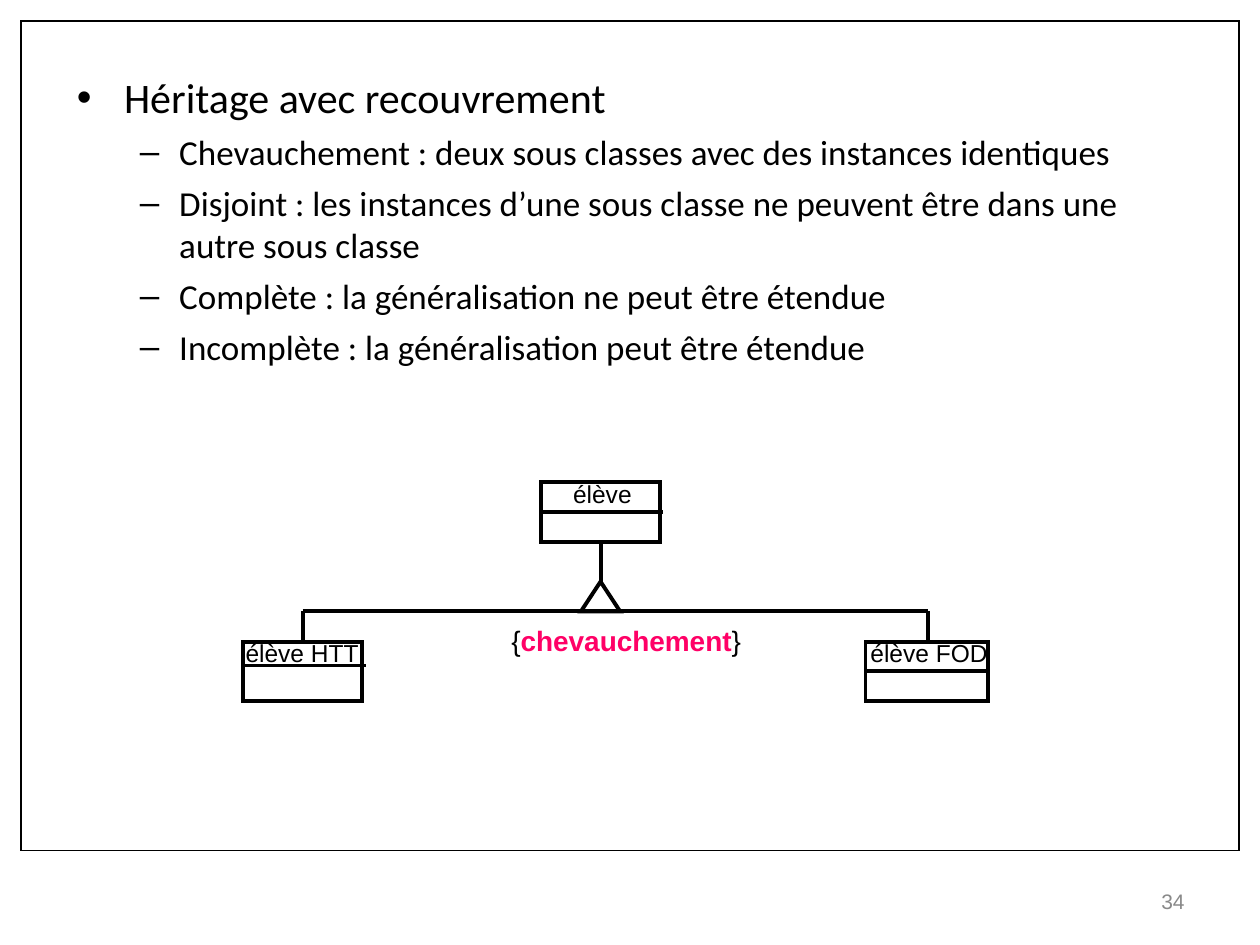
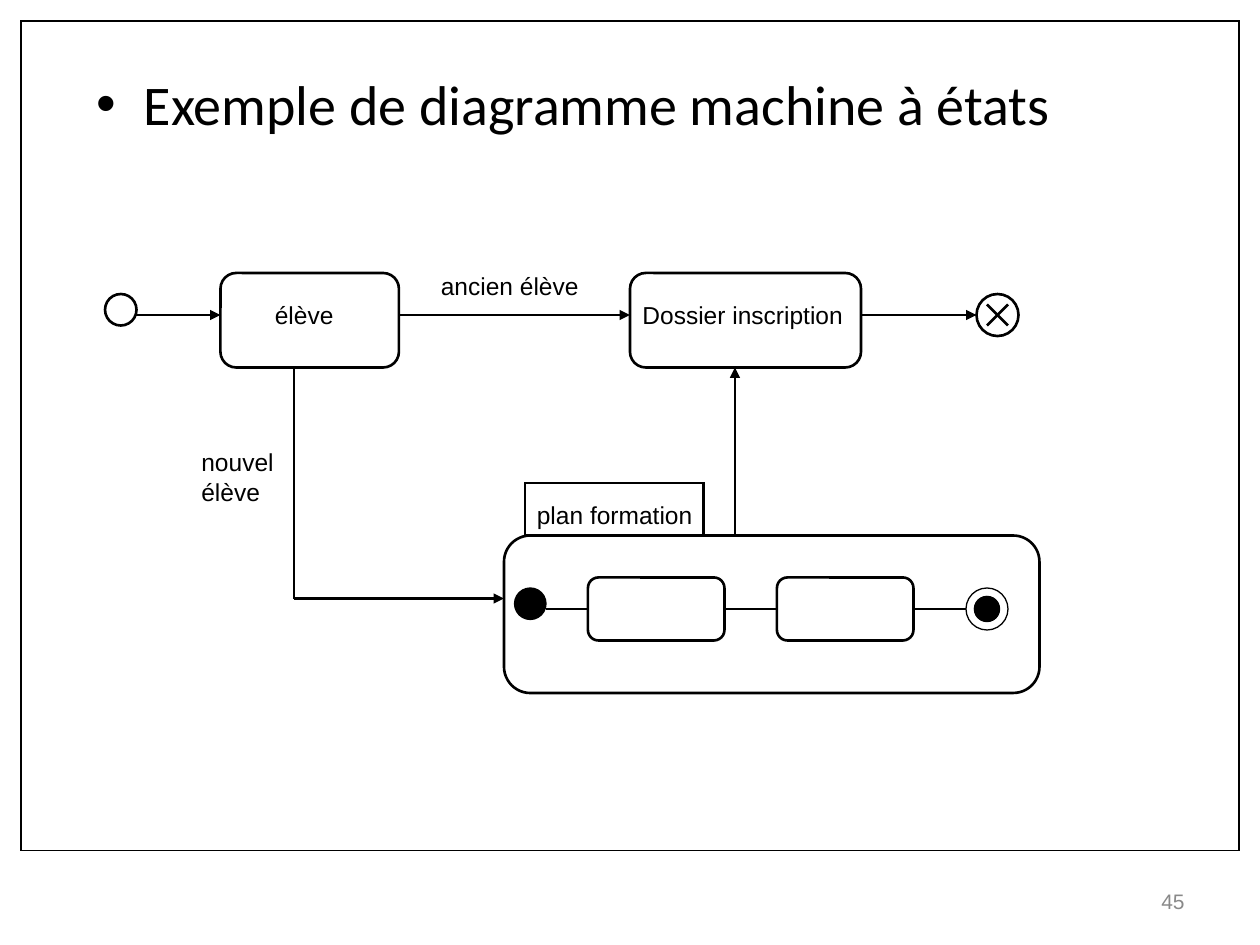
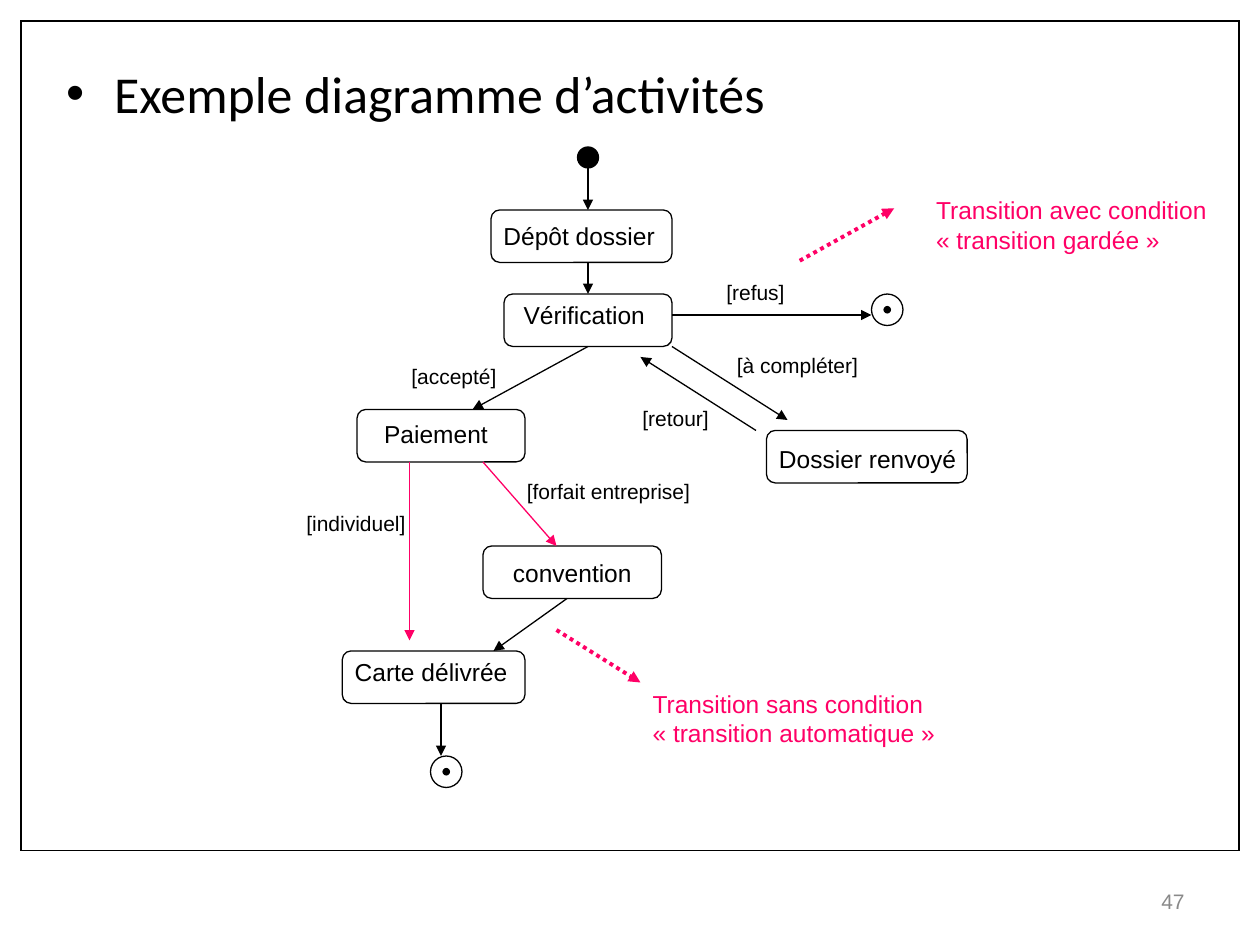
from dataclasses import dataclass
from typing import Any

from lxml.etree import SubElement
from pptx import Presentation
from pptx.dml.color import RGBColor
from pptx.enum.dml import MSO_LINE_DASH_STYLE as Dash
from pptx.enum.shapes import MSO_CONNECTOR as Connector, MSO_SHAPE as Preset
from pptx.enum.text import MSO_ANCHOR as Anchor, MSO_AUTO_SIZE as AutoSize, PP_ALIGN as Align
from pptx.oxml.ns import qn
from pptx.util import Pt

BLACK, PINK, GREY = "000000", "FF0066", "898989"
DIAGRAM_FONT, LIST_FONT = "Arial", "Calibri"
TITLE_AND_CONTENT, TITLE_ONLY = 1, 5
LABEL_SLACK = 2


def colour(hex_code):
    return RGBColor.from_string(hex_code)


def place(shape, left, top, width, height):
    shape.left, shape.top = Pt(left), Pt(top)
    shape.width, shape.height = Pt(width), Pt(height)


def write(para, text, size, hex_code=BLACK, font=DIAGRAM_FONT, bold=False):
    span = para.add_run()
    span.text = text
    span.font.name, span.font.size, span.font.bold = font, Pt(size), bold
    span.font.color.rgb = colour(hex_code)


@dataclass
class Region:
    """Part of a page whose contents are placed from its top left corner."""
    page: Any
    left: float
    top: float
    weight: float = 0.75

    def inner(self, left, top):
        return Region(self.page, self.left + left, self.top + top, self.weight)

    def shape(self, preset, left, top, width, height, fill=None, weight=None):
        shape = self.page.shapes.add_shape(
            preset, Pt(self.left + left), Pt(self.top + top), Pt(width), Pt(height))
        shape.shadow.inherit = False
        if fill:
            shape.fill.solid()
            shape.fill.fore_color.rgb = colour(fill)
        else:
            shape.fill.background()
        shape.line.color.rgb = colour(BLACK)
        shape.line.width = Pt(weight or self.weight)
        SubElement(shape.element.spPr.find(qn("a:ln")), qn("a:miter"), lim="800000")
        return shape

    def circle(self, left, top, size, fill=None, weight=None):
        self.shape(Preset.OVAL, left, top, size, size, fill, weight)

    def final_node(self, left, top, size, dot):
        """Ring with a black dot in its middle."""
        margin = (size - dot) / 2
        self.circle(left + margin, top + margin, dot, BLACK, 0.75)
        self.circle(left, top, size, weight=0.75)

    def line(self, start, end, hex_code=BLACK, arrow=False, dotted=False):
        (x1, y1), (x2, y2) = start, end
        link = self.page.shapes.add_connector(
            Connector.STRAIGHT, Pt(self.left + x1), Pt(self.top + y1),
            Pt(self.left + x2), Pt(self.top + y2))
        link.line.color.rgb = colour(hex_code)
        link.line.width = Pt(2.25 if dotted else self.weight)
        if dotted:
            link.line.dash_style = Dash.ROUND_DOT
        properties = link.element.spPr
        if arrow:
            SubElement(properties.find(qn("a:ln")), qn("a:tailEnd"), type="triangle")
        SubElement(properties, qn("a:effectLst"))

    def arrow(self, start, end, hex_code=BLACK, dotted=False):
        self.line(start, end, hex_code, True, dotted)

    def label(self, lines, left, top, width, size=14, hex_code=BLACK):
        """Write one paragraph for each line and return the last one."""
        lines = lines.split("\n")
        box = self.page.shapes.add_textbox(
            Pt(self.left + left), Pt(self.top + top), Pt(width + LABEL_SLACK),
            Pt(7.2 + 1.2 * size * len(lines)))
        frame = box.text_frame
        frame.word_wrap = False
        frame.auto_size = AutoSize.SHAPE_TO_FIT_TEXT
        for number, text in enumerate(lines):
            para = frame.add_paragraph() if number else frame.paragraphs[0]
            write(para, text, size, hex_code)
        return para

    def state(self, name, left, top, width, height, label_left, label_top, label_width):
        """Rounded box with its name; the label is placed within the box."""
        self.shape(Preset.ROUNDED_RECTANGLE, left, top, width, height)
        if name:
            self.label(name, left + label_left, top + label_top, label_width)


def add_page(deck, layout, number):
    page = deck.slides.add_slide(deck.slide_layouts[layout])
    box = page.shapes.add_textbox(Pt(516), Pt(500.4), Pt(168), Pt(28.8))
    frame = box.text_frame
    frame.word_wrap = True
    frame.vertical_anchor = Anchor.MIDDLE
    para = frame.paragraphs[0]
    para.alignment = Align.RIGHT
    write(para, str(number), 12, GREY)
    return page


def frame_master(deck, page):
    """Put the black frame on the master, behind every page."""
    border = Region(page, 12, 12).shape(Preset.RECTANGLE, 0, 0, 696, 474)
    border.element.nvSpPr.cNvPr.set("id", "90")
    deck.slide_master.shapes.element.insert(2, border.element)


def fill_list(holder, box, items):
    """Fill a placeholder with (level, size, text) items."""
    place(holder, *box)
    frame = holder.text_frame
    frame.word_wrap = True
    frame.auto_size = AutoSize.NONE
    frame.vertical_anchor = Anchor.TOP
    for number, (level, size, text) in enumerate(items):
        para = frame.add_paragraph() if number else frame.paragraphs[0]
        para.level = level
        para.alignment = Align.LEFT
        para.space_before = Pt(5 if number else 0)
        margin, hanging, mark = [(27, 27, "•"), (58.5, 22.5, "–")][level]
        properties = para._p.get_or_add_pPr()
        properties.set("marL", str(Pt(margin)))
        properties.set("indent", str(-Pt(hanging)))
        SubElement(properties, qn("a:buFont"), typeface="Arial")
        SubElement(properties, qn("a:buChar"), char=mark)
        write(para, text, size, font=LIST_FONT)


def uml_class(region, name, width, label_left, label_width, divider):
    region.shape(Preset.RECTANGLE, 0, 0, width, 34)
    region.label(name, label_left, -5.7, label_width)
    region.line((0, divider), (70, divider))


def inheritance_diagram(region):
    uml_class(region.inner(170, 0), "élève", 68, 11.4, 47.5, 17)
    uml_class(region.inner(355.6, 91), "élève FOD", 70, -4.3, 81.4, 17)
    uml_class(region.inner(0, 91), "élève HTT", 68, -5.8, 79.2, 13.7)
    left, middle, right, bar = 34, 204.4, 391.2, 73.7
    for x in (left, right):
        region.line((x, 91), (x, bar))
    region.line((left, bar), (right, bar))
    region.line((middle, 57.5), (middle, 34))
    region.shape(Preset.ISOSCELES_TRIANGLE, middle - 11.4, 56.8, 22.4, 17)
    para = region.label("{", 146.1, 77.2, 145.4, 16)
    write(para, "chevauchement", 16, PINK, bold=True)
    write(para, "}", 16)


def training_plan(region):
    region.shape(Preset.ROUNDED_RECTANGLE, 0, 0, 306, 90)
    region.shape(Preset.RECTANGLE, 12, -30, 102, 30)
    region.label("plan formation", 11.7, -24, 103)
    for left in (48, 156):
        region.state("", left, 24, 78, 36, 0, 0, 0)
    for start, end in ((24, 48), (126, 156), (234, 264)):
        region.line((start, 42), (end, 42))
    region.final_node(264, 30, 24, 14.4)
    region.circle(6, 30, 18, BLACK, 0.75)


def state_machine(region):
    region.state("élève", 66, 0, 102, 54, 24, 12, 47.5)
    region.state("Dossier inscription", 300, 0, 132, 54, 0, 12, 129)
    training_plan(region.inner(228, 150))
    region.line((108, 54), (108, 186))
    for start, end in (
        ((108, 186), (228, 186)),
        ((168, 24), (300, 24)),
        ((360, 150), (360, 54)),
        ((18, 24), (66, 24)),
        ((432, 24), (498, 24)),
    ):
        region.arrow(start, end)
    region.circle(0, 12, 18)
    region.line((516, 18), (504, 30))
    region.line((516, 30), (504, 18))
    region.circle(498, 12, 24)
    region.label("nouvel\nélève", 48, 96, 55.5)
    region.label("ancien élève", 184.8, -4.8, 93)


def activity_diagram(region):
    for name, left, top, width, *label in (
        ("Dépôt dossier", 112.6, 36, 103.4, 0, 2.7, 101),
        ("Vérification", 120, 84, 96, 4.1, 0, 83.5),
        ("Paiement", 36, 150, 96, 8.4, 2, 73.5),
        ("Dossier renvoyé", 270, 162, 114.7, 0, 4.2, 116),
        ("convention", 108, 228, 102, 10, 3.4, 82),
        ("Carte délivrée", 27.6, 288, 104.4, 0, 0, 101.5),
    ):
        region.state(name, left, top, width, 30, *label)
    region.circle(162, 0, 12, BLACK)
    region.final_node(330, 84, 18, 3.6)
    region.final_node(78, 348, 18, 3.6)
    for start, end in (
        ((168, 12), (168, 36)),
        ((168, 66), (168, 84)),
        ((216, 96), (330, 96)),
        ((168, 114), (102, 150)),
        ((216, 114), (282, 156)),
        ((264, 162), (198, 120)),
        ((156, 258), (114, 288)),
        ((84, 318), (84, 348)),
    ):
        region.arrow(start, end)
    region.arrow((66, 180), (66, 282), PINK)
    region.arrow((108, 180), (150, 228), PINK)
    for guard, left, top, width in (
        ("[refus]", 240, 72, 47.5),
        ("[accepté]", 60, 120, 62.6),
        ("[à compléter]", 246, 114, 83.5),
        ("[retour]", 192, 144, 52.5),
        ("[forfait entreprise]", 126, 186, 107.3),
        ("[individuel]", 0, 204, 71.3),
    ):
        region.label(guard, left, top, width, 12)
    region.arrow((289, 65), (343, 35), PINK, dotted=True)
    region.label("Transition avec condition\n« transition gardée »", 359.8, 24, 169.2, hex_code=PINK)
    region.arrow((150, 276), (198, 306), PINK, dotted=True)
    region.label("Transition sans condition\n« transition automatique »", 197.8, 306, 175.7, hex_code=PINK)


def inheritance_page(deck):
    page = add_page(deck, TITLE_AND_CONTENT, 34)
    title = page.shapes.title.element
    title.getparent().remove(title)
    fill_list(page.placeholders[1], (36.7, 37.4, 648, 204.5), [
        (0, 24, "Héritage avec recouvrement"),
        (1, 20, "Chevauchement : deux sous classes avec des instances identiques"),
        (1, 20, "Disjoint : les instances d’une sous classe ne peuvent être dans une autre sous classe"),
        (1, 20, "Complète : la généralisation ne peut être étendue"),
        (1, 20, "Incomplète : la généralisation peut être étendue"),
    ])
    inheritance_diagram(Region(page, 139, 275.6, 2.25))
    return page


def diagram_page(deck, number, title, size, box):
    page = add_page(deck, TITLE_ONLY, number)
    fill_list(page.shapes.title, box, [(0, size, title)])
    return page


def main():
    deck = Presentation()
    deck.slide_width, deck.slide_height = Pt(720), Pt(540)
    frame_master(deck, inheritance_page(deck))
    states = diagram_page(deck, 45, "Exemple de diagramme machine à états", 32, (48, 36, 648, 54))
    state_machine(Region(states, 60, 156, 1.5))
    activities = diagram_page(deck, 47, "Exemple diagramme d’activités", 29.6, (31, 31.7, 648, 44))
    activity_diagram(Region(activities, 168, 84))
    deck.save("out.pptx")


if __name__ == "__main__":
    main()
